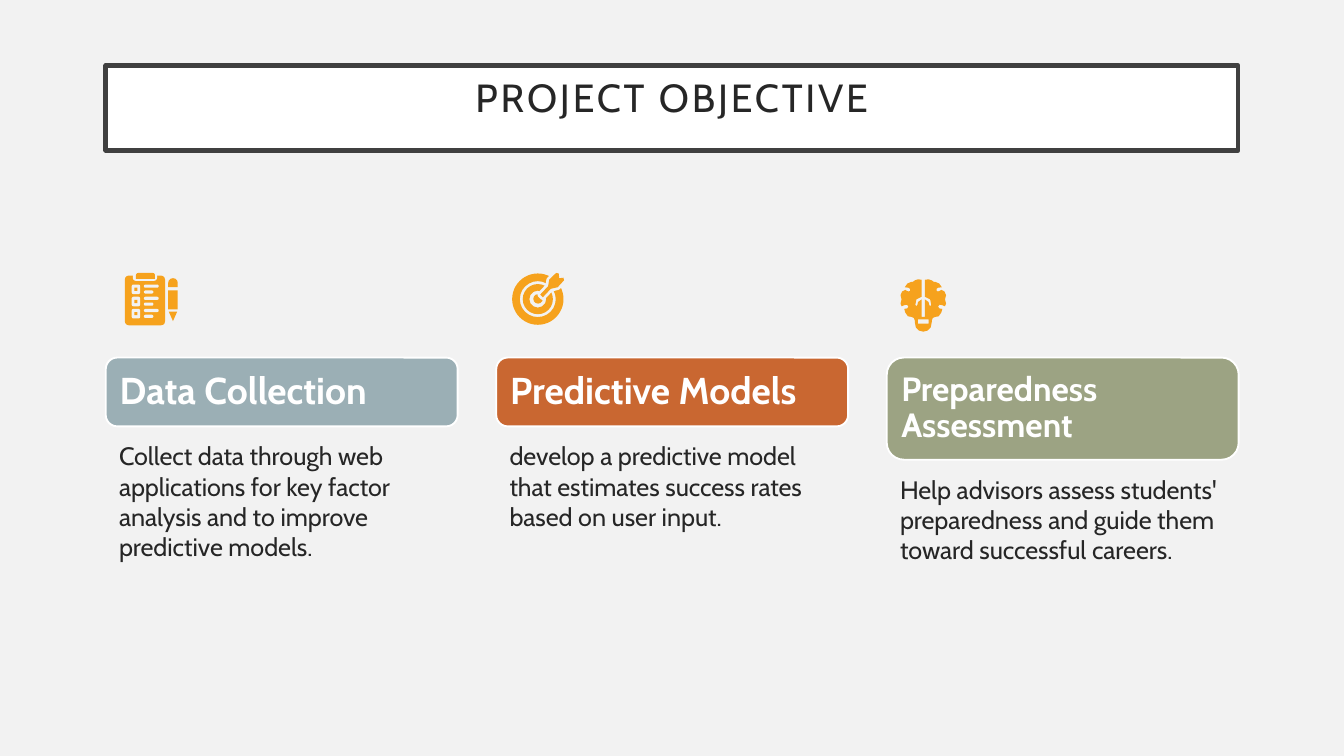
from dataclasses import dataclass

from pptx import Presentation
from pptx.dml.color import RGBColor
from pptx.enum.shapes import MSO_SHAPE
from pptx.enum.text import MSO_ANCHOR, MSO_AUTO_SIZE, PP_ALIGN
from pptx.util import Cm, Pt


@dataclass(frozen=True)
class Theme:
    font: str = "Cabin"
    background: RGBColor = RGBColor.from_string("F2F2F2")
    white: RGBColor = RGBColor.from_string("FFFFFF")
    border: RGBColor = RGBColor.from_string("404040")
    text: RGBColor = RGBColor.from_string("262626")
    icon: RGBColor = RGBColor.from_string("F6A21D")
    blue: RGBColor = RGBColor.from_string("9BAFB5")
    orange: RGBColor = RGBColor.from_string("C96731")
    green: RGBColor = RGBColor.from_string("9CA383")
    title_size: float = 21
    body_size: float = 13.5
    heading_size: float = 20
    small_heading_size: float = 18


theme = Theme()


def write_text(shape, text, size, color, inset, anchor, alignment, spacing=1.0, bold=False):
    frame = shape.text_frame
    frame.text = text
    frame.word_wrap = True
    frame.auto_size = MSO_AUTO_SIZE.NONE
    frame.vertical_anchor = anchor
    frame.margin_left = frame.margin_right = Cm(inset)
    frame.margin_top = frame.margin_bottom = Cm(inset)
    paragraph = frame.paragraphs[0]
    paragraph.alignment = alignment
    paragraph.line_spacing = spacing
    run = paragraph.runs[0]
    run.font.name = theme.font
    run.font.size = Pt(size)
    run.font.bold = bold
    run.font.color.rgb = color
    return run


def paint(shape, fill, line=None, width=1):
    shape.shadow.inherit = False
    shape.fill.solid()
    shape.fill.fore_color.rgb = fill
    if line is None:
        shape.line.fill.background()
    else:
        shape.line.color.rgb = line
        shape.line.width = Pt(width)


presentation = Presentation()
presentation.slide_width = Cm(25.4)
presentation.slide_height = Cm(14.29)
slide = presentation.slides.add_slide(presentation.slide_layouts[5])
slide.background.fill.solid()
slide.background.fill.fore_color.rgb = theme.background
shapes = slide.shapes

title = shapes.title
title.left, title.top, title.width, title.height = Cm(2), Cm(1.24), Cm(21.4), Cm(1.6)
title.fill.solid()
title.fill.fore_color.rgb = theme.white
title.line.color.rgb = theme.border
title.line.width = Pt(2.5)
title_run = write_text(title, "PROJECT OBJECTIVE", theme.title_size, theme.text, 0.25,
                       MSO_ANCHOR.TOP, PP_ALIGN.CENTER, 0.9)
title_run.font._element.set("spc", "150")

cards = [
    ("Data Collection", theme.blue, 1.3, theme.heading_size, 0.2,
     "Collect data through web applications for key factor analysis and to improve predictive models."),
    ("Predictive Models", theme.orange, 1.3, theme.heading_size, 0.2,
     "develop a predictive model that estimates success rates based on user input."),
    ("Preparedness Assessment", theme.green, 1.93, theme.small_heading_size, 0.18,
     "Help advisors assess students' preparedness and guide them toward successful careers."),
]
card_left, card_top, card_width, card_step = 2, 6.76, 6.65, 7.38

for index, (heading, color, height, size, inset, description) in enumerate(cards):
    left = Cm(card_left + index * card_step)
    header = shapes.add_shape(MSO_SHAPE.ROUNDED_RECTANGLE, left, Cm(card_top), Cm(card_width), Cm(height))
    paint(header, color, theme.white)
    write_text(header, heading, size, theme.white, inset,
               MSO_ANCHOR.MIDDLE, PP_ALIGN.LEFT, 0.9, True)
    body = shapes.add_textbox(left, Cm(card_top + height + 0.02), Cm(card_width), Cm(3.76))
    write_text(body, description, theme.body_size, theme.text, 0.25, MSO_ANCHOR.TOP, PP_ALIGN.LEFT)

rounded = MSO_SHAPE.ROUNDED_RECTANGLE
clipboard_parts = [
    (rounded, 2.36, 5.21, 0.76, 0.94, theme.icon, 0.1),
    (rounded, 2.51, 5.16, 0.46, 0.15, theme.background, 0.4),
    (MSO_SHAPE.ROUND_2_SAME_RECTANGLE, 2.57, 5.16, 0.36, 0.11, theme.icon, 0.4),
    (MSO_SHAPE.ROUND_2_SAME_RECTANGLE, 3.18, 5.26, 0.18, 0.17, theme.icon, 0.5),
    (MSO_SHAPE.RECTANGLE, 3.18, 5.49, 0.18, 0.36, theme.icon, None),
    (MSO_SHAPE.FLOWCHART_MERGE, 3.19, 5.89, 0.16, 0.18, theme.icon, None),
]
for row in range(3):
    row_top = 5.38 + row * 0.23
    clipboard_parts += [
        (rounded, 2.49, row_top, 0.16, 0.18, theme.background, 0.2),
        (MSO_SHAPE.RECTANGLE, 2.54, row_top + 0.06, 0.06, 0.06, theme.icon, None),
        (rounded, 2.72, row_top, 0.28, 0.06, theme.background, 0.5),
        (rounded, 2.72, row_top + 0.11, 0.18, 0.06, theme.background, 0.5),
    ]
target_parts = [
    (MSO_SHAPE.DONUT, 9.68, 5.17, 0.97, 0.97, theme.icon, 0.15),
    (MSO_SHAPE.DONUT, 9.88, 5.37, 0.57, 0.57, theme.icon, 0.22),
    (MSO_SHAPE.OVAL, 10.08, 5.56, 0.18, 0.18, theme.icon, None),
]
for kind, left, top, width, height, color, adjustment in clipboard_parts + target_parts:
    part = shapes.add_shape(kind, Cm(left), Cm(top), Cm(width), Cm(height))
    paint(part, color)
    if adjustment is not None:
        part.adjustments[0] = adjustment

arrow_points = [(13, 41), (28, 25), (30, 13), (43, 0), (48, 1), (49, 10),
                (57, 9), (58, 14), (46, 27), (33, 30), (18, 46)]
for outline in (theme.background, None):
    builder = shapes.build_freeform(*arrow_points[0], scale=Cm(0.01))
    builder.add_line_segments(arrow_points[1:])
    arrow = builder.convert_to_shape(Cm(10.08), Cm(5.16))
    paint(arrow, outline or theme.icon, outline, 3)

brain_half = [
    (3, 71), (3, 38), (10, 43), (11, 48), (13, 51), (15, 48), (13, 38), (3, 33),
    (3, 1), (10, 0), (16, 2), (20, 5), (23, 5), (30, 8), (35, 15), (28, 16),
    (25, 18), (25, 22), (28, 23), (31, 22), (34, 20), (40, 23), (43, 30), (41, 38),
    (43, 46), (41, 51), (36, 49), (31, 48), (28, 51), (30, 55), (36, 56), (34, 63),
    (29, 70), (23, 71), (18, 73), (16, 78), (16, 81), (14, 91), (8, 97), (0, 99),
]
brain_points = brain_half + [(-x, y) for x, y in reversed(brain_half[:-1])]
builder = shapes.build_freeform(*brain_points[0], scale=Cm(0.01))
builder.add_line_segments(brain_points[1:])
builder.move_to(-10, 76)
builder.add_line_segments([(-10, 84), (10, 84), (10, 76)])
brain = builder.convert_to_shape(Cm(17.45), Cm(5.28))
paint(brain, theme.icon)

presentation.save("out.pptx")
